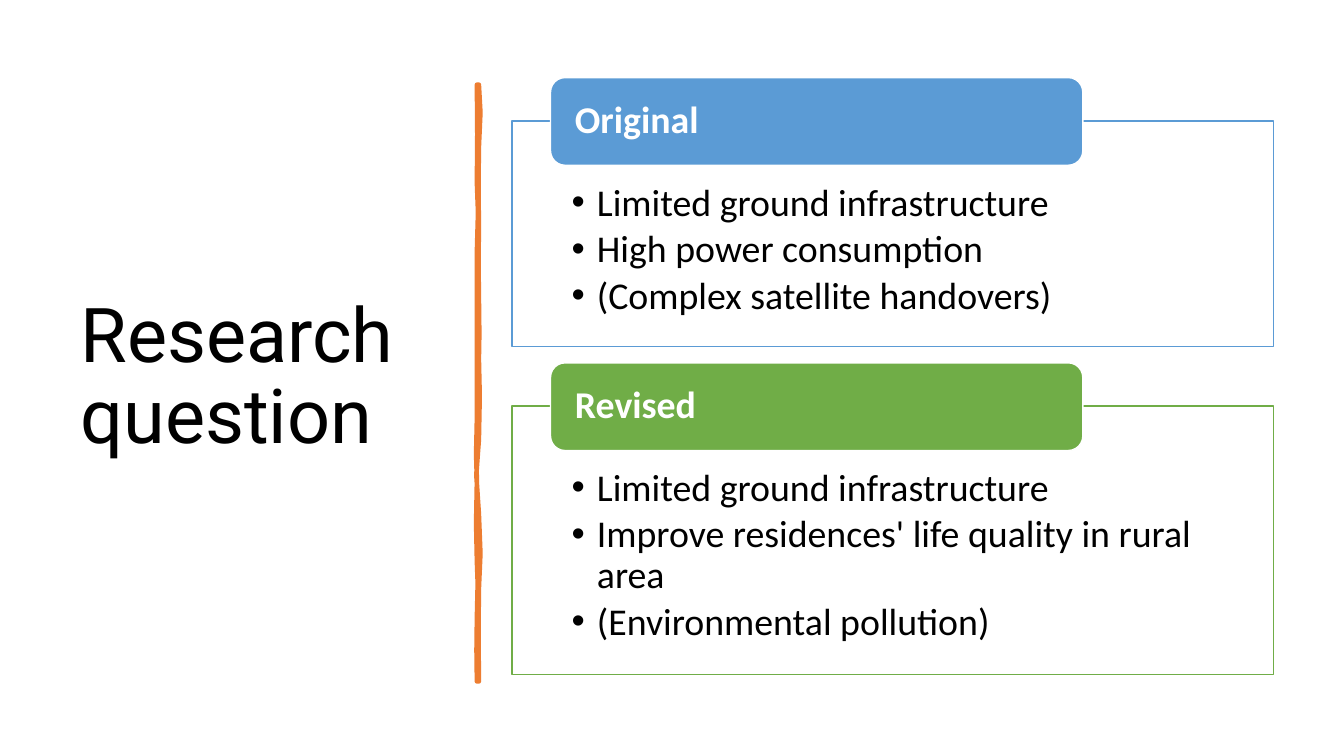
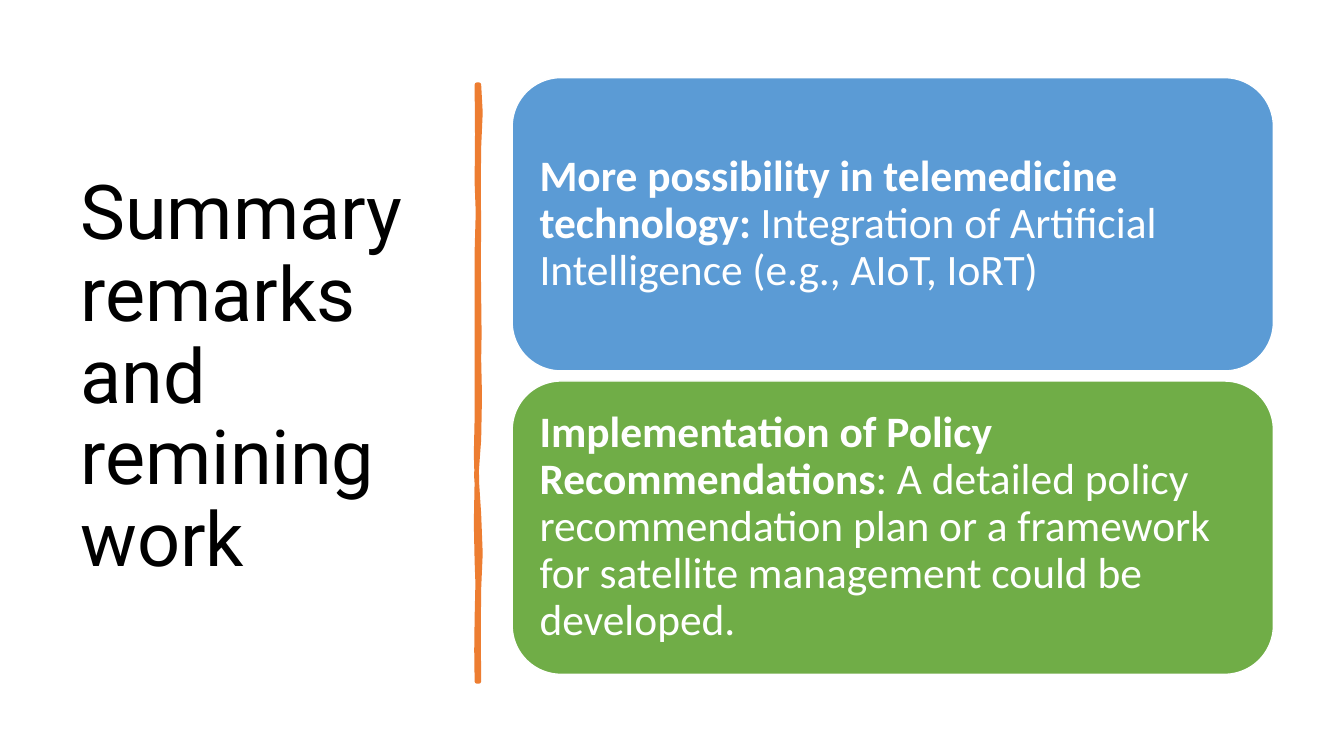
from pptx import Presentation
from pptx import util as u
from pptx.dml.color import RGBColor
from pptx.enum import shapes, text
from lxml import etree

PX = 9144
HUES = {"blue": "5B9BD5", "green": "70AD47", "orange": "ED7D31",
        "white": "FFFFFF", "black": "000000"}
NS = "http://schemas.openxmlformats.org/drawingml/2006/main"
KINDS = shapes.MSO_SHAPE

STROKE = [
    (477, 102, 477, 119, 475, 146), (473, 173, 476, 195, 475, 226),
    (474, 257, 475, 262, 475, 294), (474, 325, 477, 342, 475, 356),
    (473, 370, 479, 414, 475, 436), (471, 457, 472, 484, 475, 510),
    (477, 536, 477, 564, 475, 584), (473, 603, 476, 650, 475, 676),
    (474, 676, 473, 676, 473, 676), (474, 646, 471, 644, 473, 613),
    (474, 583, 474, 570, 473, 557), (472, 544, 472, 495, 473, 477),
    (473, 459, 471, 445, 473, 415), (474, 386, 472, 373, 473, 335),
    (474, 298, 472, 281, 473, 250), (474, 218, 475, 200, 473, 181),
    (470, 163, 477, 104, 473, 84),
]


def paint(shape, fill, line, width):
    shape.shadow.inherit = False
    shape.fill.solid()
    shape.fill.fore_color.rgb = RGBColor.from_string(HUES[fill])
    shape.line.color.rgb = RGBColor.from_string(HUES[line])
    shape.line.width = u.Pt(width)


def write(shape, paras, size, hue="white", font="Calibri", pads=(10, 5, 10, 5),
          anchor=text.MSO_ANCHOR.MIDDLE, after=0, bullet=False):
    frame = shape.text_frame
    frame.word_wrap = True
    frame.vertical_anchor = anchor
    (frame.margin_left, frame.margin_top,
     frame.margin_right, frame.margin_bottom) = [n * PX for n in pads]
    for i, runs in enumerate(paras):
        para = frame.add_paragraph() if i else frame.paragraphs[0]
        para.alignment = text.PP_ALIGN.LEFT
        para.line_spacing = 0.9
        para.space_after = u.Pt(after)
        for words, bold in runs:
            run = para.add_run()
            run.text = words
            run.font.name = font
            run.font.size = u.Pt(size)
            run.font.bold = bold
            run.font.color.rgb = RGBColor.from_string(HUES[hue])
        if bullet:
            props = para._p.get_or_add_pPr()
            props.set("marL", str(25 * PX))
            props.set("indent", str(-25 * PX))
            etree.SubElement(props, f"{{{NS}}}buFont", typeface="Arial")
            etree.SubElement(props, f"{{{NS}}}buChar", char="•")


deck = Presentation()
deck.slide_width, deck.slide_height = 1333 * PX, 750 * PX

x, y = 475, 84
points = []
for ax, ay, bx, by, ex, ey in STROKE:
    if abs(ey - y) > 2:
        points.append(((x + 3 * ax + 3 * bx + ex) / 8,
                       (y + 3 * ay + 3 * by + ey) / 8))
    points.append((ex, ey))
    x, y = ex, ey

pages = []
for title in ["Research question", "Summary remarks and remining work"]:
    page = deck.slides.add_slide(deck.slide_layouts[6]).shapes
    box = page.add_textbox(70 * PX, 70 * PX, 374 * PX, 611 * PX)
    write(box, [[(title, False)]], 54, "black", "Roboto")
    pen = page.build_freeform(4750, 840, scale=PX / 10)
    pen.add_line_segments([(10 * px, 10 * py) for px, py in points], close=True)
    paint(pen.convert_to_shape(), "orange", "orange", 3.25)
    pages.append(page)

first, last = pages

panels = [
    ("Original", "blue", 77, 223,
     ["Limited ground infrastructure", "High power consumption",
      "(Complex satellite handovers)"]),
    ("Revised", "green", 360, 265,
     ["Limited ground infrastructure",
      "Improve residences' life quality in rural area",
      "(Environmental pollution)"]),
]
for name, hue, top, high, items in panels:
    panel = first.add_shape(KINDS.RECTANGLE, 508 * PX, (top + 43) * PX,
                            755 * PX, (high + 1) * PX)
    paint(panel, "white", hue, 1)
    write(panel, [[(item, False)] for item in items], 27, "black",
          pads=(59, 62, 59, 21), anchor=text.MSO_ANCHOR.TOP, after=4, bullet=True)
    tab = first.add_shape(KINDS.ROUNDED_RECTANGLE, 546 * PX, top * PX,
                          528 * PX, 87 * PX)
    paint(tab, hue, "white", 1)
    write(tab, [[(name, True)]], 27, pads=(20, 0, 20, 0))

cards = [
    ("blue", "More possibility in telemedicine technology: ",
     "Integration of Artificial Intelligence (e.g., AIoT, IoRT)"),
    ("green", "Implementation of Policy Recommendations",
     ": A detailed policy recommendation plan or a framework for satellite "
     "management could be developed."),
]
for i, (hue, lead, rest) in enumerate(cards):
    card = last.add_shape(KINDS.ROUNDED_RECTANGLE, 508 * PX, (77 + 301 * i) * PX,
                          755 * PX, 291 * PX)
    paint(card, hue, "white", 1)
    write(card, [[(lead, True), (rest, False)]], 31, pads=(13, 13, 13, 13))

deck.save("out.pptx")
